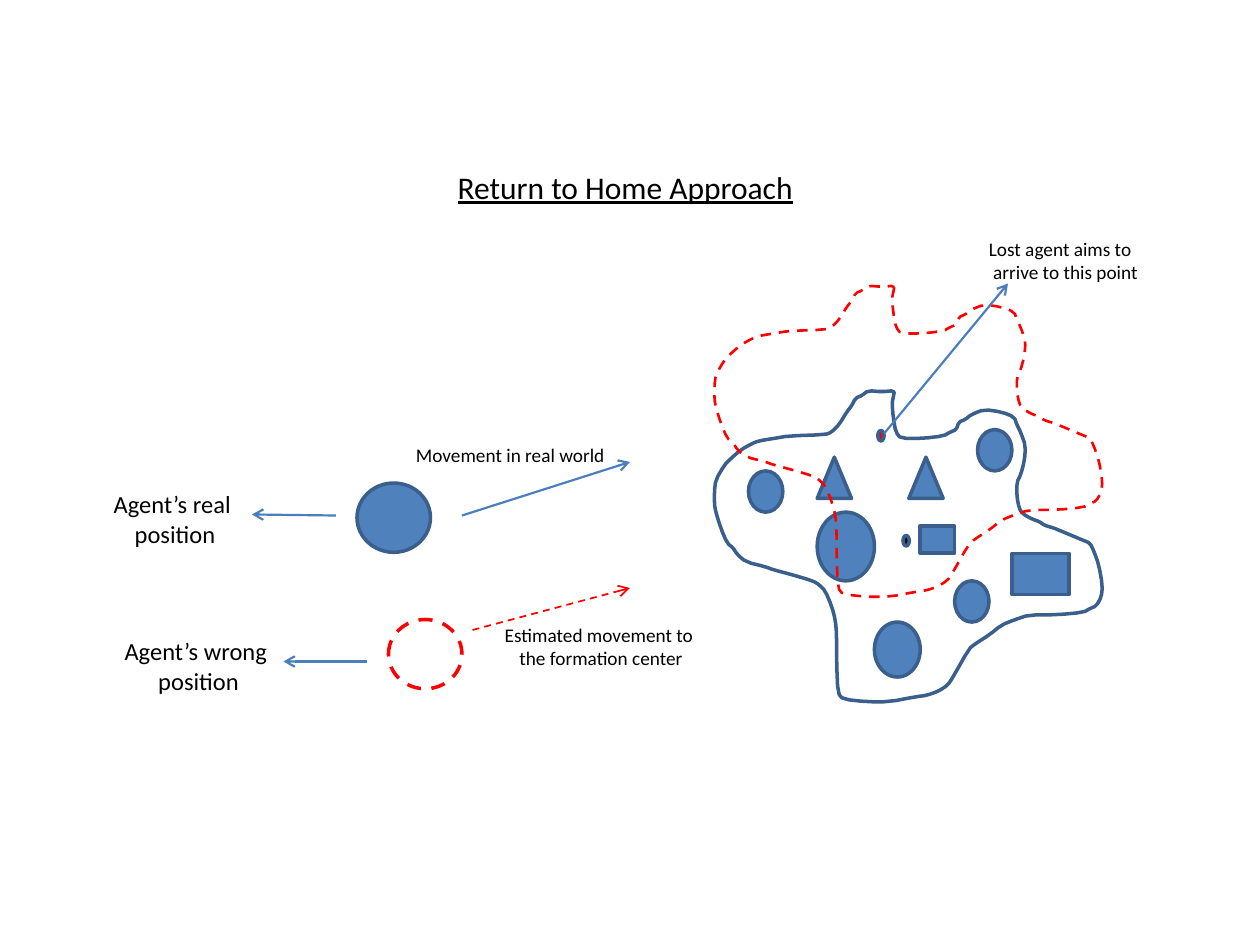
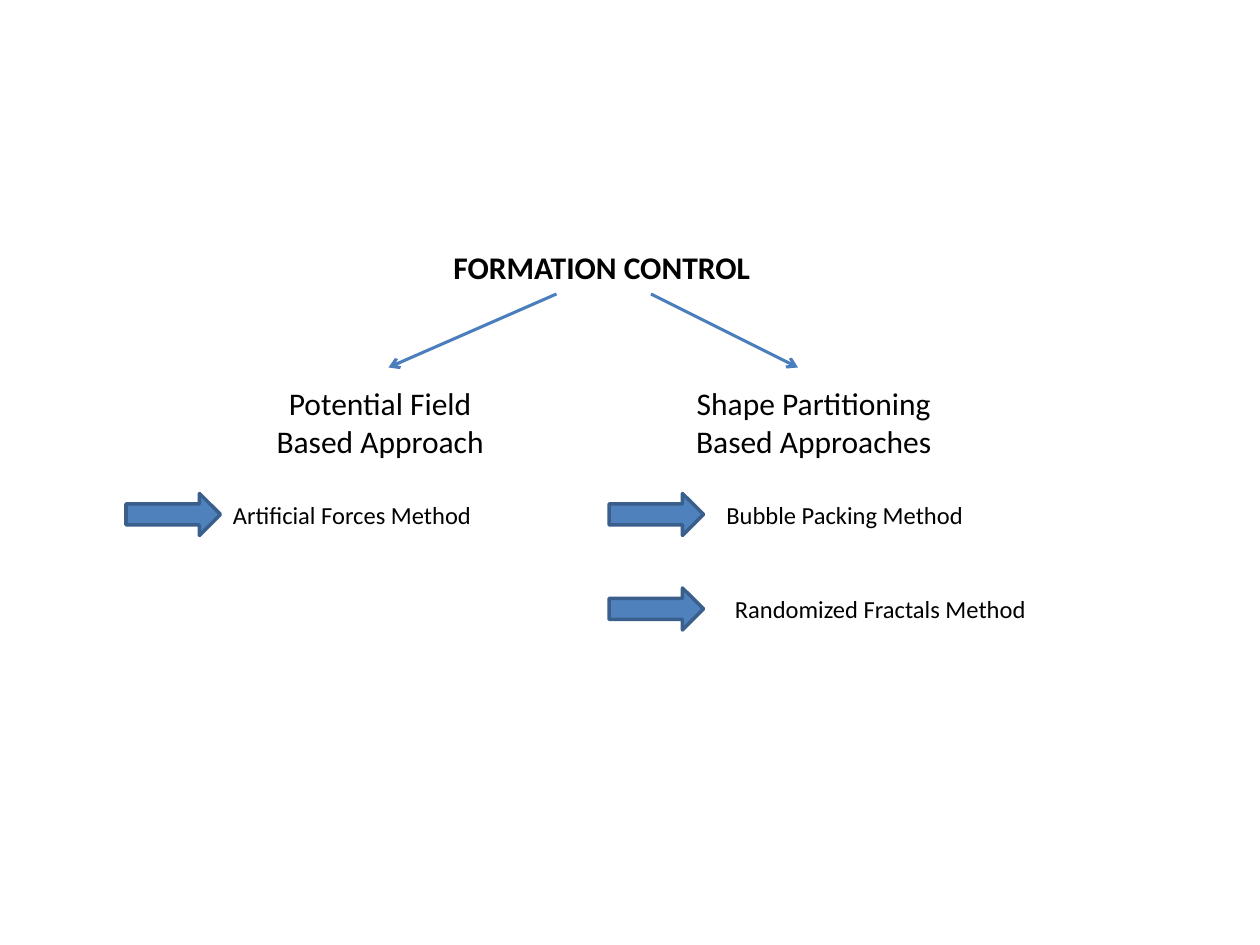
from pptx import Presentation
from pptx import util as u
from pptx.dml.color import RGBColor
from pptx.enum import dml, shapes, text
from pptx.oxml import parse_xml
from pptx.oxml.ns import nsdecls, qn
from lxml import etree

WIDTH, HEIGHT = u.Inches(10), u.Inches(7.5)
COLS, ROWS = 120, 90
COL, ROW = WIDTH / COLS, HEIGHT / ROWS
INCH = COLS / 10
TILE = INCH / 11, 1.2 * INCH / 11
ORIGIN = 5.94 * INCH, 3.41 * INCH
SHIFT = 10

FONT = "Calibri"
HEAD, BODY, NOTE = 18, 14, 11
BLACK = RGBColor(0, 0, 0)
INK = RGBColor(0x0D, 0x0D, 0x0D)
BLUE = RGBColor(0x4F, 0x81, 0xBD)
EDGE = RGBColor(0x3A, 0x5F, 0x8C)
ARROW = RGBColor(0x4B, 0x7E, 0xBC)
RED = RGBColor(0xFF, 0, 0)
KIND = shapes.MSO_SHAPE
LEFT, MID = text.PP_ALIGN.LEFT, text.PP_ALIGN.CENTER

NOTCH = [
    (7.1, 3.1), (7.09, 3.15), (7.08, 3.2), (7.09, 3.32), (7.11, 3.43),
    (7.15, 3.48), (7.32, 3.48), (7.49, 3.46), (7.54, 3.43), (7.59, 3.41),
    (7.61, 3.35), (7.66, 3.33), (7.71, 3.29),
]
EAST = [
    (7.81, 3.25), (7.95, 3.27), (8.05, 3.31), (8.07, 3.37), (8.1, 3.43),
    (8.14, 3.54), (8.13, 3.66), (8.1, 3.77), (8.07, 3.83), (8.07, 3.94),
    (8.09, 4.04), (8.12, 4.08), (8.19, 4.12), (8.25, 4.14), (8.29, 4.17),
    (8.36, 4.19), (8.41, 4.21), (8.6, 4.29), (8.65, 4.31), (8.68, 4.37),
    (8.72, 4.48), (8.75, 4.65), (8.74, 4.74), (8.7, 4.81), (8.65, 4.83),
    (8.6, 4.86), (8.39, 4.88), (8.17, 4.88),
]
SOUTH = [
    (8.05, 4.92), (7.95, 4.96), (7.85, 5.04), (7.74, 5.11), (7.69, 5.15),
    (7.56, 5.38), (7.52, 5.44), (7.44, 5.49), (7.35, 5.52), (7.27, 5.53),
    (7.06, 5.57), (6.88, 5.57), (6.69, 5.55), (6.65, 5.5), (6.64, 5.27),
    (6.64, 5.04), (6.63, 4.92), (6.6, 4.81), (6.55, 4.69), (6.5, 4.64),
]
WEST = [
    (6.45, 4.61), (6.28, 4.56), (6.13, 4.52), (6.08, 4.5), (5.92, 4.46),
    (5.85, 4.4), (5.82, 4.35), (5.77, 4.31), (5.72, 4.19), (5.68, 4.06),
    (5.67, 4), (5.67, 3.9), (5.68, 3.81), (5.75, 3.69), (5.8, 3.64),
    (5.88, 3.57), (5.97, 3.52), (6.02, 3.5), (6.14, 3.48), (6.26, 3.46),
]
HORN = [
    (6.55, 3.45), (6.6, 3.43), (6.66, 3.37), (6.72, 3.27), (6.76, 3.22),
    (6.79, 3.16), (6.84, 3.14), (6.89, 3.1), (7.0, 3.11),
]
REGION = NOTCH + EAST + SOUTH + WEST + HORN

AGENTS = {
    KIND.OVAL: [(0, 3, 3, 3), (6, 6, 5, 5), (20, 0, 3, 3),
                (18, 11, 3, 3), (11, 14, 4, 4)],
    KIND.ISOSCELES_TRIANGLE: [(6, 2, 3, 3), (14, 2, 3, 3)],
    KIND.RECTANGLE: [(23, 9, 5, 3), (15, 7, 3, 2)],
}


def place(x, y):
    return round(x * COL), round(y * ROW)


def tiles(x, y, wide, high):
    return (ORIGIN[0] + x * TILE[0], ORIGIN[1] + y * TILE[1],
            wide * TILE[0], high * TILE[1])


def smooth(points):
    curve = []
    for (ax, ay), (bx, by) in zip(points, points[1:] + points[:1]):
        for part in (0.25, 0.75):
            curve.append((ax + (bx - ax) * part, ay + (by - ay) * part))
    return curve


def stroke(line, color, width, dash):
    line.color.rgb = color
    line.width = u.Pt(width)
    if dash:
        line.dash_style = dml.MSO_LINE.DASH


def style(item, fill, edge, width, dash):
    item.shadow.inherit = False
    if fill is None:
        item.fill.background()
    else:
        item.fill.solid()
        item.fill.fore_color.rgb = fill
    stroke(item.line, edge, width, dash)


def shape(slide, kind, x, y, wide, high, fill=BLUE, edge=EDGE, dash=False):
    item = slide.shapes.add_shape(kind, *place(x, y), *place(wide, high))
    style(item, fill, edge, 2, dash)


def region(slide, rise=0, edge=EDGE, width=2, dash=False):
    first, *rest = [place(x * INCH, y * INCH - rise)
                    for x, y in smooth(REGION)]
    pen = slide.shapes.build_freeform(*first)
    pen.add_line_segments(rest, close=True)
    style(pen.convert_to_shape(), None, edge, width, dash)


def arrow(slide, start, end, color=ARROW, width=1.25, dash=False):
    link = slide.shapes.add_connector(
        shapes.MSO_CONNECTOR.STRAIGHT, *place(*start), *place(*end))
    stroke(link.line, color, width, dash)
    outline = link._element.spPr.find(qn("a:ln"))
    etree.SubElement(outline, qn("a:tailEnd"), type="arrow")
    link._element.spPr.append(parse_xml(f"<a:effectLst {nsdecls('a')}/>"))


def label(slide, words, x, y, wide, size=BODY, align=LEFT, bold=False,
          under=False, wrap=False):
    lines = words.count("\n") + 1
    high = 1.2 + lines * size / 5
    frame = slide.shapes.add_textbox(
        *place(x, y), *place(wide, high)).text_frame
    frame.text = words
    frame.word_wrap = wrap
    frame.auto_size = text.MSO_AUTO_SIZE.SHAPE_TO_FIT_TEXT
    for para in frame.paragraphs:
        para.alignment = align
        font = para.runs[0].font
        font.name, font.size = FONT, u.Pt(size)
        font.bold, font.underline = bold, under
        font.color.rgb = BLACK


def swarm(slide):
    region(slide)
    for kind, boxes in AGENTS.items():
        for box in boxes:
            shape(slide, kind, *tiles(*box))
    region(slide, SHIFT, RED, 1.5, True)
    for x, y, fill in ((86, 51, INK), (83.6, 41, RED)):
        shape(slide, KIND.OVAL, x, y, 0.6, 1, fill=fill)


def agent(slide, words, x, y, wide, ball, tail, tip, **look):
    label(slide, words, x, y, wide, align=MID)
    shape(slide, KIND.OVAL, *ball, 7, 6.6, **look)
    arrow(slide, tail, tip)


def home(slide):
    label(slide, "Return to Home Approach", 42.4, 15.4, 37.4,
          size=HEAD, under=True)
    swarm(slide)
    agent(slide, "Agent’s real\n position", 9, 46, 14.8,
          (34, 46), (32, 49.1), (24, 49))
    agent(slide, "Agent’s wrong\n position", 10, 60, 17.3,
          (37, 59), (35, 63), (27, 63), fill=None, edge=RED, dash=True)

    arrow(slide, (44, 49.1), (60, 44))
    arrow(slide, (45, 60), (60, 56), RED, 1, True)
    arrow(slide, (84.2, 41.3), (96, 27))
    for words, x, y, wide, align in (
            ("Movement in real world", 37.8, 41.6, 21.6, MID),
            ("Estimated movement to \nthe formation center",
             46.1, 58.8, 22.3, MID),
            ("Lost agent aims to\n arrive to this point",
             93, 22, 17.5, LEFT)):
        label(slide, words, x, y, wide, size=NOTE, align=align)


def control(slide):
    label(slide, "FORMATION CONTROL", 42, 23, 31, size=HEAD, bold=True)
    for start, end, words, x, wide in (
            (53, 37, "Potential Field\nBased Approach", 25, 22.4),
            (62, 76, "Shape Partitioning\nBased Approaches", 65, 25)):
        arrow(slide, (start, 28), (end, 35), width=1.75)
        label(slide, words, x, 36, wide, size=HEAD, align=MID)
    for words, mark, x, y, wide, wrap in (
            ("Artificial Forces Method", 12, 21, 47, 27, True),
            ("Bubble Packing Method", 58, 68, 47, 25.2, False),
            ("Randomized Fractals Method", 58, 68.8, 56, 30.4, False)):
        shape(slide, KIND.RIGHT_ARROW, mark, y, 9, 4)
        label(slide, words, x, y, wide, wrap=wrap)


def main():
    deck = Presentation()
    deck.slide_width, deck.slide_height = WIDTH, HEIGHT
    for draw in (home, control):
        draw(deck.slides.add_slide(deck.slide_layouts[6]))
    deck.save("out.pptx")


if __name__ == "__main__":
    main()
